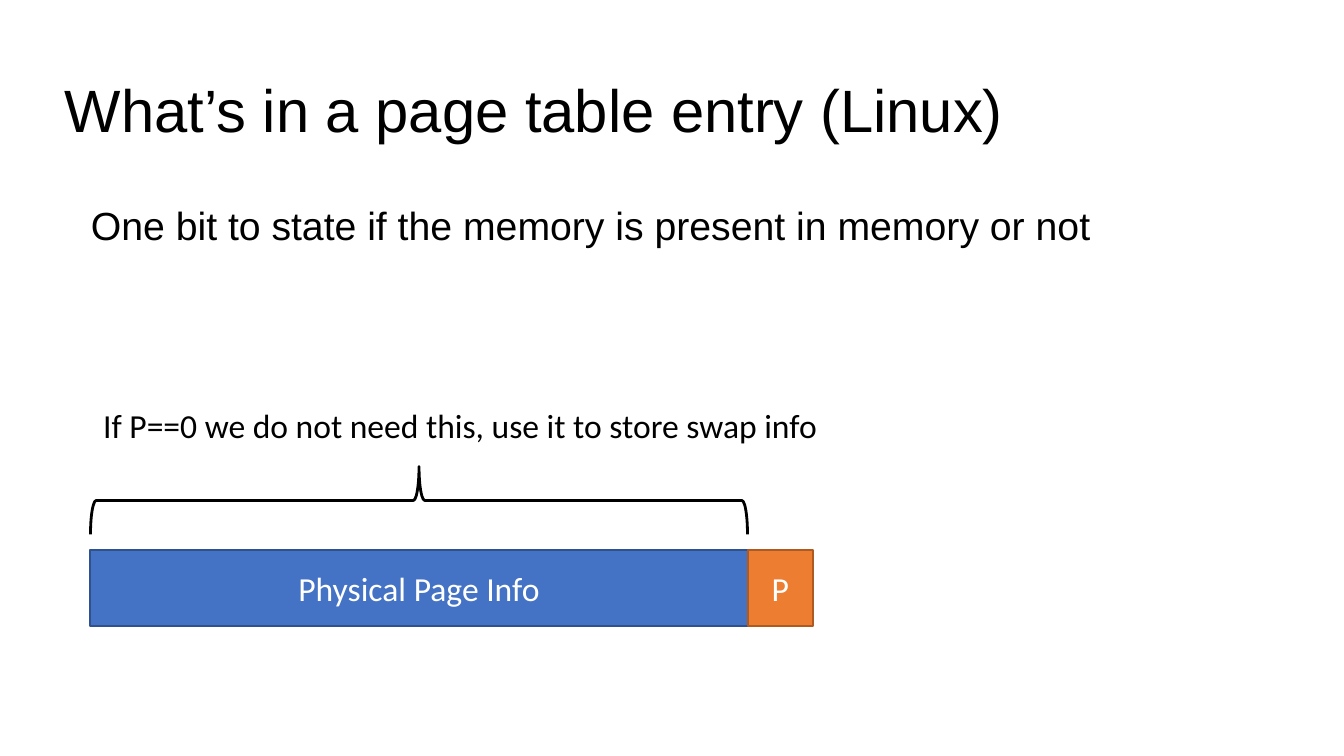
"""Build the slide on the contents of a Linux page table entry."""
from pptx import Presentation
from pptx import util as u
from pptx.dml.color import RGBColor
from pptx.enum import shapes, text

THEME = {
    "ink": RGBColor.from_string("000000"),
    "paper": RGBColor.from_string("FFFFFF"),
    "info": RGBColor.from_string("4472C4"),
    "info_edge": RGBColor.from_string("2F528F"),
    "present": RGBColor.from_string("ED7D31"),
    "present_edge": RGBColor.from_string("AE5A21"),
    "heading": "Arial",
    "label": "Calibri",
    "title_size": 32,
    "body_size": 21,
    "label_size": 18,
}


def px(n):
    return u.Emu(round(n * 914400 / 134.4))


def write(sp, words, font, size, color, anchor, wrap=True):
    tf = sp.text_frame
    tf.text = words
    tf.word_wrap = wrap
    tf.vertical_anchor = anchor
    p = tf.paragraphs[0]
    r = p.runs[0]
    r.font.name = font
    r.font.size = u.Pt(size)
    r.font.color.rgb = color
    return tf, p


prs = Presentation()
prs.slide_width, prs.slide_height = px(1344), px(756)
s = prs.slides.add_slide(prs.slide_layouts[6])

for words, top, height, inset, size, anchor in (
    ("What’s in a page table entry (Linux)", 40, 147, 10,
     THEME["title_size"], text.MSO_ANCHOR.MIDDLE),
    ("One bit to state if the memory is present in memory or not", 202, 425, 36,
     THEME["body_size"], text.MSO_ANCHOR.TOP),
):
    sp = s.shapes.add_textbox(px(55), px(top), px(1235), px(height))
    tf, p = write(sp, words, THEME["heading"], size, THEME["ink"], anchor)
    tf.margin_left, tf.margin_right = px(inset), px(10)
    tf.margin_top = tf.margin_bottom = px(5)
    p.line_spacing = 0.9

for words, left, width, key in (
    ("Physical Page Info", 90, 658, "info"),
    ("P", 748, 65, "present"),
):
    sp = s.shapes.add_shape(shapes.MSO_SHAPE.RECTANGLE, px(left), px(550), px(width), px(76))
    sp.shadow.inherit = False
    sp.fill.solid()
    sp.fill.fore_color.rgb = THEME[key]
    sp.line.color.rgb = THEME[key + "_edge"]
    sp.line.width = u.Pt(1)
    tf, p = write(sp, words, THEME["label"], THEME["label_size"], THEME["paper"],
                  text.MSO_ANCHOR.MIDDLE)
    p.alignment = text.PP_ALIGN.CENTER

brace = s.shapes.add_shape(shapes.MSO_SHAPE.LEFT_BRACE, px(385), px(172), px(68), px(657))
brace.rotation = 90
brace.shadow.inherit = False
brace.fill.background()
brace.line.color.rgb = THEME["ink"]
brace.line.width = u.Pt(1.5)

sp = s.shapes.add_textbox(px(90), px(398), px(750), px(54))
tf, p = write(sp, "If P==0 we do not need this, use it to store swap info", THEME["label"],
              THEME["label_size"], THEME["ink"], text.MSO_ANCHOR.TOP, wrap=False)
tf.auto_size = text.MSO_AUTO_SIZE.SHAPE_TO_FIT_TEXT

prs.save("out.pptx")
